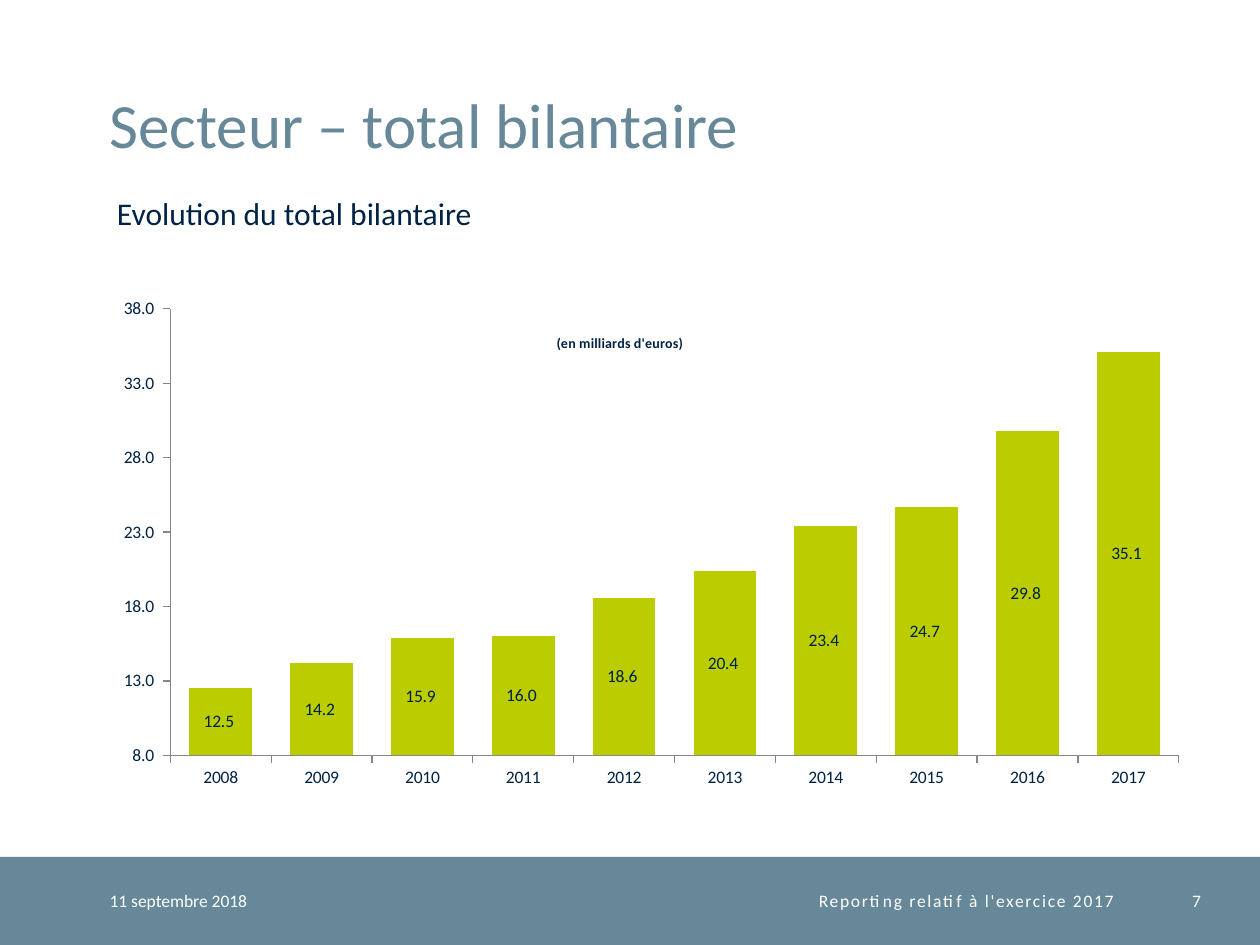
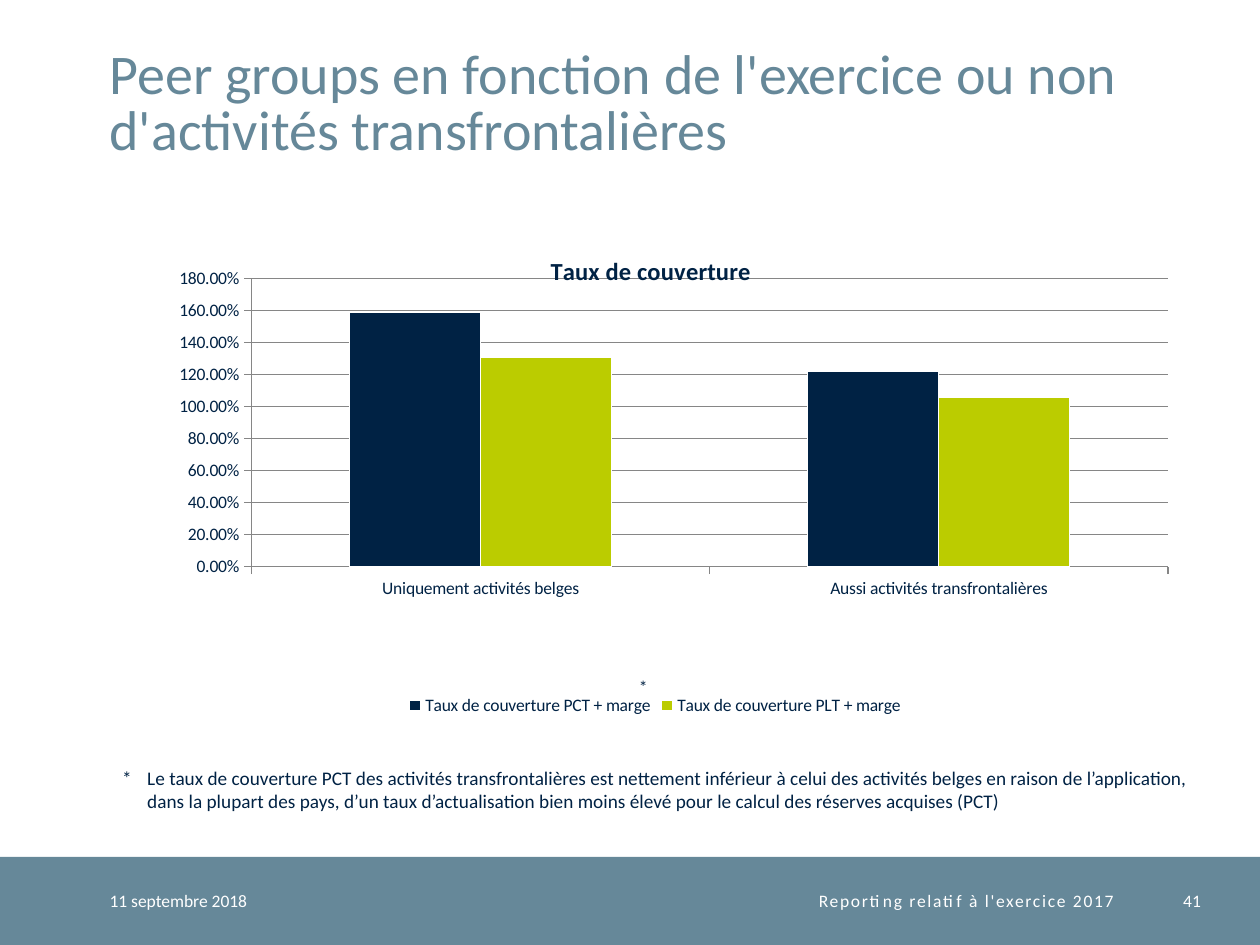
from dataclasses import dataclass
from typing import Optional

import pptx
import pptx.chart.data
import pptx.dml.color
import pptx.enum.chart
import pptx.enum.shapes
import pptx.enum.text
import pptx.oxml
import pptx.oxml.ns
import pptx.util

ALIGN = pptx.enum.text.PP_ALIGN
ANCHOR = pptx.enum.text.MSO_ANCHOR
CHART = pptx.enum.chart.XL_CHART_TYPE


@dataclass(frozen=True)
class Theme:
    font: str = "Calibri"
    slate: str = "668899"
    navy: str = "002244"
    lime: str = "BBCC00"
    white: str = "FFFFFF"
    grey: str = "868686"
    subtitle: float = 18
    note: float = 11
    small: float = 10
    title_leading: float = 32
    axis_line: float = 0.75


@dataclass(frozen=True)
class Region:
    """Shares of the slide, in percent."""
    left: float
    top: float
    width: float
    height: float


@dataclass(frozen=True)
class Series:
    name: str
    values: tuple[float, ...]
    color: str


@dataclass(frozen=True)
class ChartSpec:
    region: Region
    kind: CHART
    title: str
    title_size: float
    title_at: tuple[float, float]
    plot_area: tuple[float, float, float, float]
    categories: tuple[str, ...]
    series: tuple[Series, ...]
    number_format: str
    scale: tuple[float, float, float]
    gap: int
    overlap: int = 0
    gridlines: bool = False
    legend: bool = False
    labels: bool = False
    outline: Optional[str] = None


THEME = Theme()
MARGIN = 8.7
BAND = Region(0, 90.67, 100, 9.33)
TITLE = Region(MARGIN, 2.67, 86.3, 14.4)
DATE = Region(MARGIN, BAND.top, 17.7, BAND.height)
REPORT = Region(26.4, BAND.top, 62, BAND.height)
NUMBER = Region(90.4, BAND.top, 4.9, BAND.height)

TOTAL_CHART = ChartSpec(
    region=Region(8.3, 25.6, 87, 59.07),
    kind=CHART.COLUMN_STACKED,
    title="(en milliards d'euros)",
    title_size=8,
    title_at=(0.41, 0.16),
    plot_area=(0.06, 0.12, 0.92, 0.8),
    categories=tuple(str(year) for year in range(2008, 2018)),
    series=(Series("Total bilantaire",
                   (12.5, 14.2, 15.9, 16.0, 18.6, 20.4, 23.4, 24.7, 29.8, 35.1),
                   THEME.lime),),
    number_format="#,##0.0_ ;[Red]\\-#,##0.0\\ ",
    scale=(8, 38, 5),
    gap=61,
    overlap=100,
    labels=True,
)
COVERAGE_CHART = ChartSpec(
    region=Region(MARGIN, 23.73, 86.6, 52.53),
    kind=CHART.COLUMN_CLUSTERED,
    title="Taux de couverture",
    title_size=14,
    title_at=(0.4, 0.05),
    plot_area=(0.13, 0.11, 0.84, 0.58),
    categories=("Uniquement activités belges", "Aussi activités transfrontalières"),
    series=(Series("Taux de couverture PCT + marge", (1.59, 1.22), THEME.navy),
            Series("Taux de couverture PLT + marge", (1.31, 1.06), THEME.lime)),
    number_format="0.00%",
    scale=(0, 1.8, 0.2),
    gap=150,
    gridlines=True,
    legend=True,
    outline=THEME.white,
)


def rgb(color: str) -> pptx.dml.color.RGBColor:
    return pptx.dml.color.RGBColor.from_string(color)


def place(deck, region: Region) -> tuple[int, int, int, int]:
    wide, high = deck.slide_width / 100, deck.slide_height / 100
    return (round(region.left * wide), round(region.top * high),
            round(region.width * wide), round(region.height * high))


def add_text(deck, slide, region: Region, text: str, *, size: float = THEME.small,
             color: str = THEME.navy, align=ALIGN.LEFT, anchor=ANCHOR.TOP,
             inset: bool = True, wrap: bool = True, leading: Optional[float] = None,
             spacing: float = 0, hanging: float = 0) -> None:
    frame = slide.shapes.add_textbox(*place(deck, region)).text_frame
    frame.word_wrap = wrap
    frame.vertical_anchor = anchor
    if not inset:
        frame.margin_left = frame.margin_right = 0
        frame.margin_top = frame.margin_bottom = 0
    paragraph = frame.paragraphs[0]
    paragraph.alignment = align
    if leading:
        paragraph.line_spacing = pptx.util.Pt(leading)
    if hanging:
        indent = pptx.util.Inches(hanging)
        properties = paragraph._p.get_or_add_pPr()
        properties.set("marL", str(indent))
        properties.set("indent", str(-indent))
    run = paragraph.add_run()
    run.text = text
    run.font.name = THEME.font
    run.font.size = pptx.util.Pt(size)
    run.font.color.rgb = rgb(color)
    if spacing:
        run._r.get_or_add_rPr().set("spc", str(round(spacing * 100)))


def add_frame(deck, title: str, title_size: float, number: int):
    slide = deck.slides.add_slide(deck.slide_layouts[6])
    band = slide.shapes.add_shape(pptx.enum.shapes.MSO_SHAPE.RECTANGLE, *place(deck, BAND))
    band.shadow.inherit = False
    band.fill.solid()
    band.fill.fore_color.rgb = rgb(THEME.slate)
    band.line.fill.background()
    footer = dict(color=THEME.white, anchor=ANCHOR.MIDDLE, inset=False)
    add_text(deck, slide, DATE, "11 septembre 2018", **footer)
    add_text(deck, slide, REPORT, "Reporting relatif à l'exercice 2017",
             align=ALIGN.RIGHT, spacing=1, **footer)
    add_text(deck, slide, NUMBER, str(number), align=ALIGN.RIGHT, **footer)
    add_text(deck, slide, TITLE, title, size=title_size, color=THEME.slate,
             anchor=ANCHOR.BOTTOM, inset=False, leading=THEME.title_leading)
    return slide


def manual_layout(inner: bool = False, **shares: float):
    target = '<c:layoutTarget val="inner"/>' if inner else ""
    modes = "".join(f'<c:{axis}Mode val="edge"/>' for axis in "xy")
    sizes = "".join(f'<c:{key} val="{share}"/>' for key, share in shares.items())
    return pptx.oxml.parse_xml(
        f'<c:layout {pptx.oxml.ns.nsdecls("c")}><c:manualLayout>'
        f"{target}{modes}{sizes}</c:manualLayout></c:layout>")


def set_layout(parent, layout, position: int) -> None:
    for previous in parent.findall(pptx.oxml.ns.qn("c:layout")):
        parent.remove(previous)
    parent.insert(position, layout)


def style_font(font, size: float, bold: bool = False) -> None:
    font.name = THEME.font
    font.size = pptx.util.Pt(size)
    font.bold = bold
    font.color.rgb = rgb(THEME.navy)


def style_line(line) -> None:
    line.color.rgb = rgb(THEME.grey)
    line.width = pptx.util.Pt(THEME.axis_line)


def add_heading(chart, spec: ChartSpec) -> None:
    chart.has_title = True
    heading = chart.chart_title
    run = heading.text_frame.paragraphs[0].add_run()
    run.text = spec.title
    style_font(run.font, spec.title_size, bold=True)
    element = heading._element
    left, top = spec.title_at
    set_layout(element, manual_layout(x=left, y=top), 1)
    element.find(pptx.oxml.ns.qn("c:overlay")).set("val", "1")


def style_axes(chart, spec: ChartSpec) -> None:
    for axis in (chart.category_axis, chart.value_axis):
        axis.major_tick_mark = pptx.enum.chart.XL_TICK_MARK.OUTSIDE
        axis.minor_tick_mark = pptx.enum.chart.XL_TICK_MARK.NONE
        axis.has_major_gridlines = False
        style_line(axis.format.line)
        style_font(axis.tick_labels.font, THEME.small)
    amounts = chart.value_axis
    amounts.minimum_scale, amounts.maximum_scale, amounts.major_unit = spec.scale
    amounts.tick_labels.number_format = spec.number_format
    amounts.tick_labels.number_format_is_linked = False
    amounts.has_major_gridlines = spec.gridlines
    if spec.gridlines:
        style_line(amounts.major_gridlines.format.line)


def add_columns(deck, slide, spec: ChartSpec) -> None:
    data = pptx.chart.data.CategoryChartData(number_format=spec.number_format)
    data.categories = spec.categories
    for entry in spec.series:
        data.add_series(entry.name, entry.values)
    chart = slide.shapes.add_chart(spec.kind, *place(deck, spec.region), data).chart
    style_font(chart.font, THEME.small)
    add_heading(chart, spec)
    style_axes(chart, spec)
    chart.has_legend = spec.legend
    if spec.legend:
        chart.legend.position = pptx.enum.chart.XL_LEGEND_POSITION.BOTTOM
        chart.legend.include_in_layout = False
        style_font(chart.legend.font, THEME.small)
    plot = chart.plots[0]
    plot.vary_by_categories = False
    plot.gap_width = spec.gap
    plot.overlap = spec.overlap
    for columns, entry in zip(plot.series, spec.series):
        columns.invert_if_negative = False
        columns.format.fill.solid()
        columns.format.fill.fore_color.rgb = rgb(entry.color)
        if spec.outline:
            columns.format.line.color.rgb = rgb(spec.outline)
        else:
            columns.format.line.fill.background()
    plot.has_data_labels = spec.labels
    if spec.labels:
        labels = plot.data_labels
        labels.show_value = True
        labels.number_format = spec.number_format
        labels.number_format_is_linked = False
        labels.position = pptx.enum.chart.XL_LABEL_POSITION.CENTER
        style_font(labels.font, THEME.small)
    area = chart._chartSpace.chart.plotArea
    set_layout(area, manual_layout(inner=True, **dict(zip("xywh", spec.plot_area))), 0)


def build_total(deck) -> None:
    slide = add_frame(deck, "Secteur – total bilantaire", 36, 7)
    add_text(deck, slide, Region(8.3, 19.87, 42.5, 5.33),
             "Evolution du total bilantaire", size=THEME.subtitle)
    add_columns(deck, slide, TOTAL_CHART)


def build_coverage(deck) -> None:
    slide = add_frame(deck, "Peer groups en fonction de l'exercice ou non "
                      "d'activités transfrontalières", 32, 41)
    add_columns(deck, slide, COVERAGE_CHART)
    add_text(deck, slide, Region(MARGIN, 80.4, 87.8, 6.27),
             "*\tLe taux de couverture PCT des activités transfrontalières est nettement "
             "inférieur à celui des activités belges en raison de l’application, dans la "
             "plupart des pays, d’un taux d’actualisation bien moins élevé pour le calcul "
             "des réserves acquises (PCT)", size=THEME.note, hanging=0.2)
    add_text(deck, slide, Region(50.7, 70.93, 0.8, 3.6), "*", wrap=False)


def main() -> None:
    deck = pptx.Presentation()
    deck.slide_width = pptx.util.Inches(10)
    deck.slide_height = pptx.util.Inches(7.5)
    build_total(deck)
    build_coverage(deck)
    deck.save("out.pptx")


if __name__ == "__main__":
    main()
